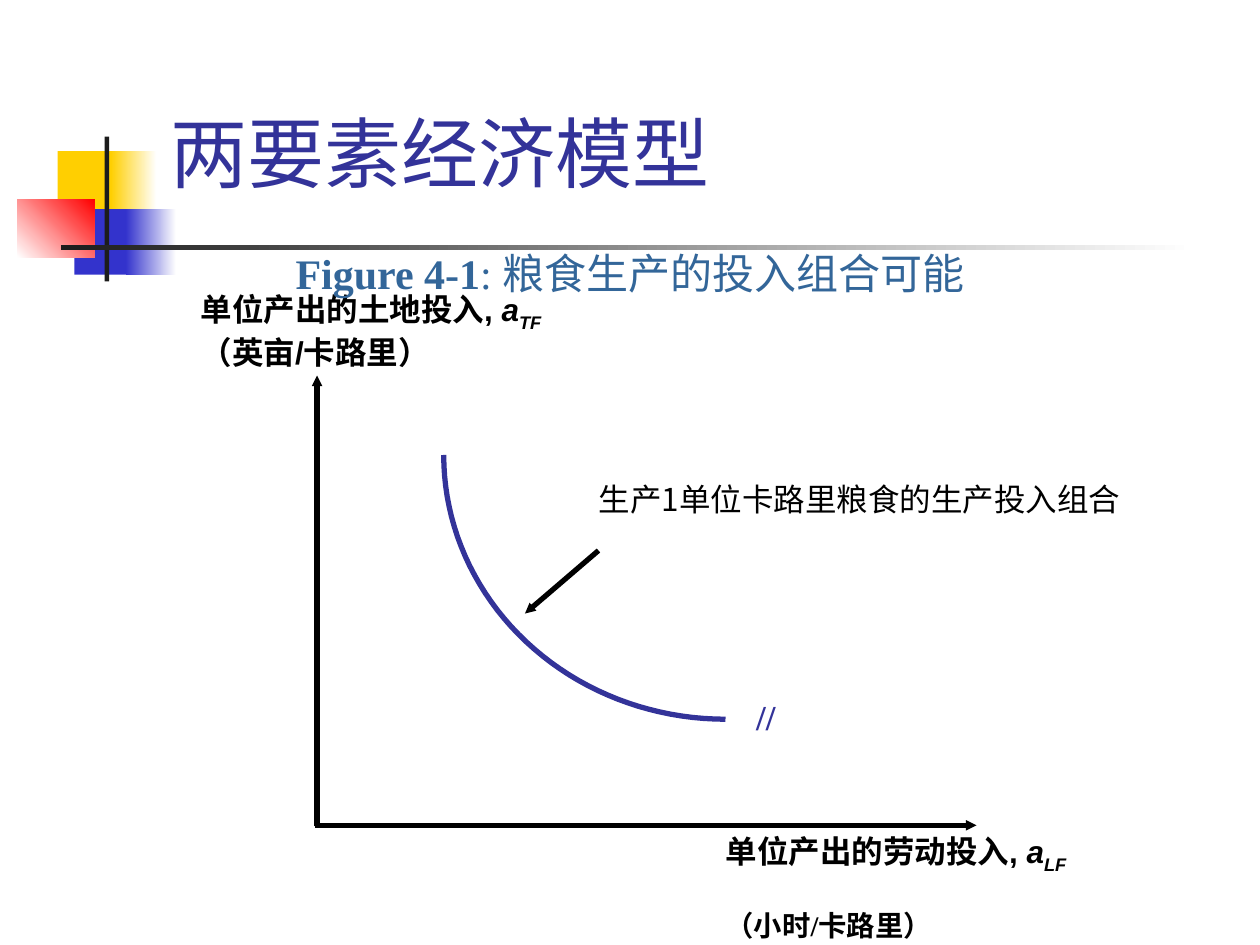
"""Build the two-factor economy slide with its input-combination curve."""
import math

import lxml.etree
import pptx
import pptx.dml.color
import pptx.enum.shapes
import pptx.enum.text
import pptx.oxml.ns
import pptx.util

Pt = pptx.util.Pt
ANCHOR = pptx.enum.text.MSO_ANCHOR
ALIGN = pptx.enum.text.PP_ALIGN
CJK_FONT = "Noto Sans CJK SC"
COLORS = {
    "white": "FFFFFF", "black": "000000", "yellow": "FFCF01", "blue": "3333CC",
    "red": "FF0000", "bar": "1C1C1C", "indigo": "333399", "steel": "336699",
}


def rgb(name):
    return pptx.dml.color.RGBColor.from_string(COLORS[name])


def add_element(parent, tag, **attributes):
    return lxml.etree.SubElement(parent, pptx.oxml.ns.qn(tag), **attributes)


def set_font(font, name, size, color, bold=False):
    font.size, font.bold = Pt(size), bold
    font.color.rgb = rgb(color)
    font.name = name
    add_element(font._rPr, "a:ea", typeface=CJK_FONT)


def add_text_box(slide, left, top, width, height, wrap=False):
    shape = slide.shapes.add_textbox(Pt(left), Pt(top), Pt(width), Pt(height))
    frame = shape.text_frame
    frame.word_wrap = wrap
    if not wrap:
        frame.auto_size = pptx.enum.text.MSO_AUTO_SIZE.SHAPE_TO_FIT_TEXT
    return frame


def add_line_text(slide, left, top, width, height, text, *font):
    paragraph = add_text_box(slide, left, top, width, height).paragraphs[0]
    paragraph.add_run().text = text
    set_font(paragraph.font, *font)


def add_arrow(slide, start, end):
    shape = slide.shapes.add_connector(
        pptx.enum.shapes.MSO_CONNECTOR.STRAIGHT, *map(Pt, start + end))
    shape.line.color.rgb = rgb("black")
    shape.line.width = Pt(3)
    add_element(shape.line._get_or_add_ln(), "a:tailEnd", type="triangle", w="sm", len="sm")
    add_element(shape._element.spPr, "a:effectLst")


def add_ornament(slide, left, top):
    blocks = [
        (23, 8.4, 34.6, 37.4, "yellow", None, 0),
        (53.4, 8.4, 26, 37.4, "yellow", "white", 0),
        (32.5, 41.5, 33, 37.4, "blue", None, 0),
        (62, 41.5, 28.8, 37.4, "blue", "white", 0),
        (0, 35.8, 44, 33.4, "white", "red", 45),
        (49.8, 0, 2.6, 82.8, "bar", None, 0),
        (24.6, 62, 648, 2.9, "bar", "white", 0),
    ]
    for x, y, width, height, color, end_color, angle in blocks:
        shape = slide.shapes.add_shape(
            pptx.enum.shapes.MSO_SHAPE.RECTANGLE,
            Pt(left + x), Pt(top + y), Pt(width), Pt(height))
        shape.shadow.inherit = False
        shape.line.fill.background()
        if end_color:
            shape.fill.gradient()
            shape.fill.gradient_angle = angle
            for stop, name in zip(shape.fill.gradient_stops, (color, end_color)):
                stop.color.rgb = rgb(name)
        else:
            shape.fill.solid()
            shape.fill.fore_color.rgb = rgb(color)


def add_title(slide, left, top, width, height):
    title = slide.shapes.title
    title.left, title.top = Pt(left), Pt(top)
    title.width, title.height = Pt(width), Pt(height)
    frame = title.text_frame
    frame.auto_size = pptx.enum.text.MSO_AUTO_SIZE.NONE
    frame.vertical_anchor = ANCHOR.MIDDLE
    paragraph = frame.paragraphs[0]
    paragraph.add_run().text = "两要素经济模型"
    paragraph.alignment = ALIGN.LEFT
    set_font(paragraph.font, "Roboto", 44, "indigo")


def add_caption(slide, left, top, width, height):
    frame = add_text_box(slide, left, top, width, height, wrap=True)
    frame.vertical_anchor = ANCHOR.BOTTOM
    paragraph = frame.paragraphs[0]
    paragraph.alignment = ALIGN.CENTER
    for text, bold in (("Figure 4-1", True), (": 粮食生产的投入组合可能", False)):
        run = paragraph.add_run()
        run.text = text
        set_font(run.font, "Times New Roman", 24, "steel", bold)


def add_axis_label(slide, left, top, height, text, subscript, unit, unit_font, unit_size, unit_baseline):
    frame = add_text_box(slide, left, top, 220, height)
    paragraph = frame.paragraphs[0]
    for part, italic, baseline in ((text, False, 0), ("a", True, 0), (subscript, True, -25000)):
        run = paragraph.add_run()
        run.text = part
        set_font(run.font, "Arial", 18, "black", True)
        run.font.italic = italic
        run.font._rPr.set("baseline", str(baseline))
    run = frame.add_paragraph().add_run()
    run.text = unit
    set_font(run.font, unit_font, unit_size, "black", True)
    run.font._rPr.set("baseline", str(unit_baseline))


def add_isoquant(slide, left, top, width, height, steps=40):
    angles = [math.pi / 2 * step / steps for step in range(steps + 1)]
    points = [(Pt(left + width * (1 - math.cos(angle))), Pt(top + height * math.sin(angle)))
              for angle in angles]
    builder = slide.shapes.build_freeform(*points[0])
    builder.add_line_segments(points[1:], close=False)
    shape = builder.convert_to_shape()
    shape.shadow.inherit = False
    shape.fill.background()
    shape.line.color.rgb = rgb("indigo")
    shape.line.width = Pt(3)


def add_diagram(slide, left, top):
    add_isoquant(slide, left + 146.6, top + 98, 161, 151)
    add_line_text(slide, left + 318, top + 232, 30, 32, "//",
                  "Times New Roman", 20, "indigo", True)
    add_line_text(slide, left + 228, top + 109, 325, 29,
                  "生产1单位卡路里粮食的生产投入组合", CJK_FONT, 18, "black")
    add_arrow(slide, (left + 235, top + 152.6), (left + 193, top + 188.6))
    add_axis_label(slide, left + 0.5, top, 53, "单位产出的土地投入, ", "TF",
                   "（英亩/卡路里）", "Arial", 18, 0)
    add_axis_label(slide, left + 300.5, top + 310, 70, "单位产出的劳动投入, ", "LF",
                   "（小时/卡路里）", "Times New Roman", 28, -25000)
    add_arrow(slide, (left + 74.2, top + 310.3), (left + 74.2, top + 52.6))
    add_arrow(slide, (left + 73, top + 309.6), (left + 451, top + 309.6))


def main():
    presentation = pptx.Presentation()
    presentation.slide_width, presentation.slide_height = Pt(720), Pt(540)
    slide = presentation.slides.add_slide(presentation.slide_layouts[5])
    add_ornament(slide, 10, 78)
    add_diagram(slide, 107, 162)
    add_title(slide, 90, 41.5, 613.5, 90)
    add_caption(slide, 0, 84, 720, 90)
    presentation.save("out.pptx")


if __name__ == "__main__":
    main()
